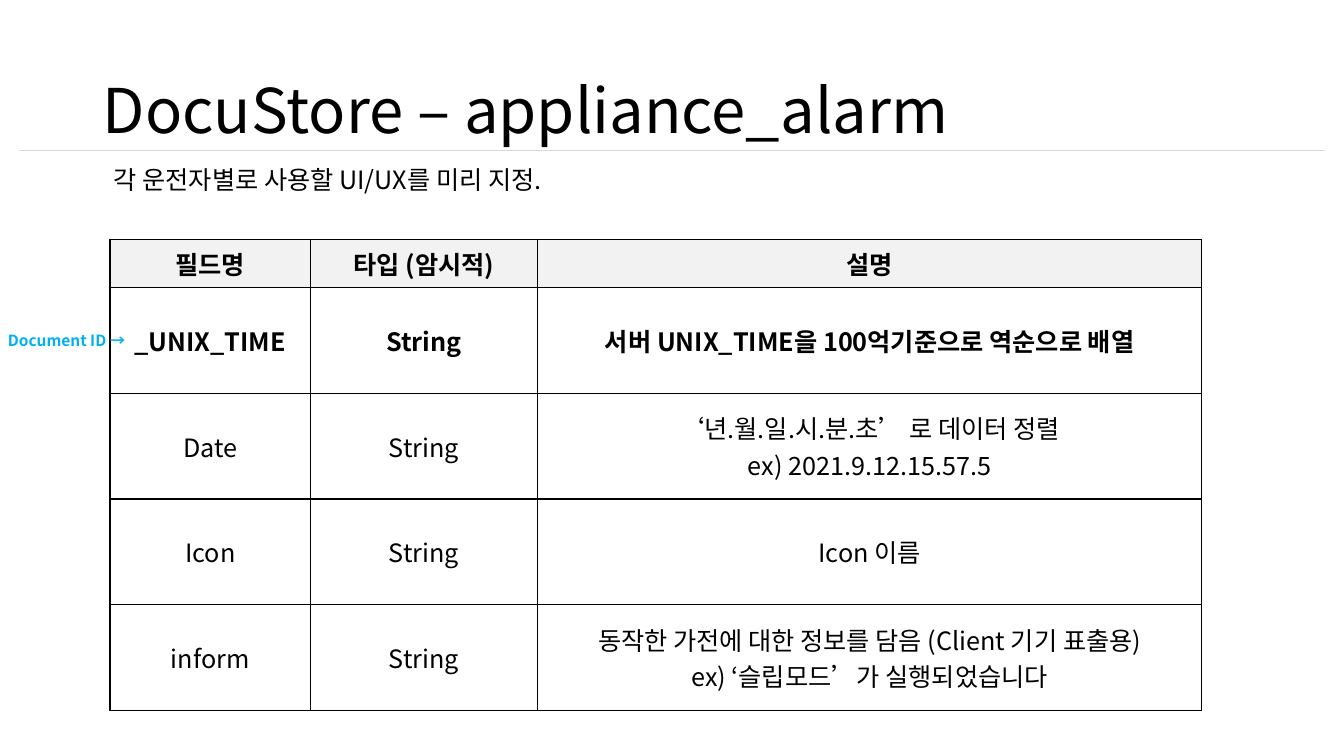
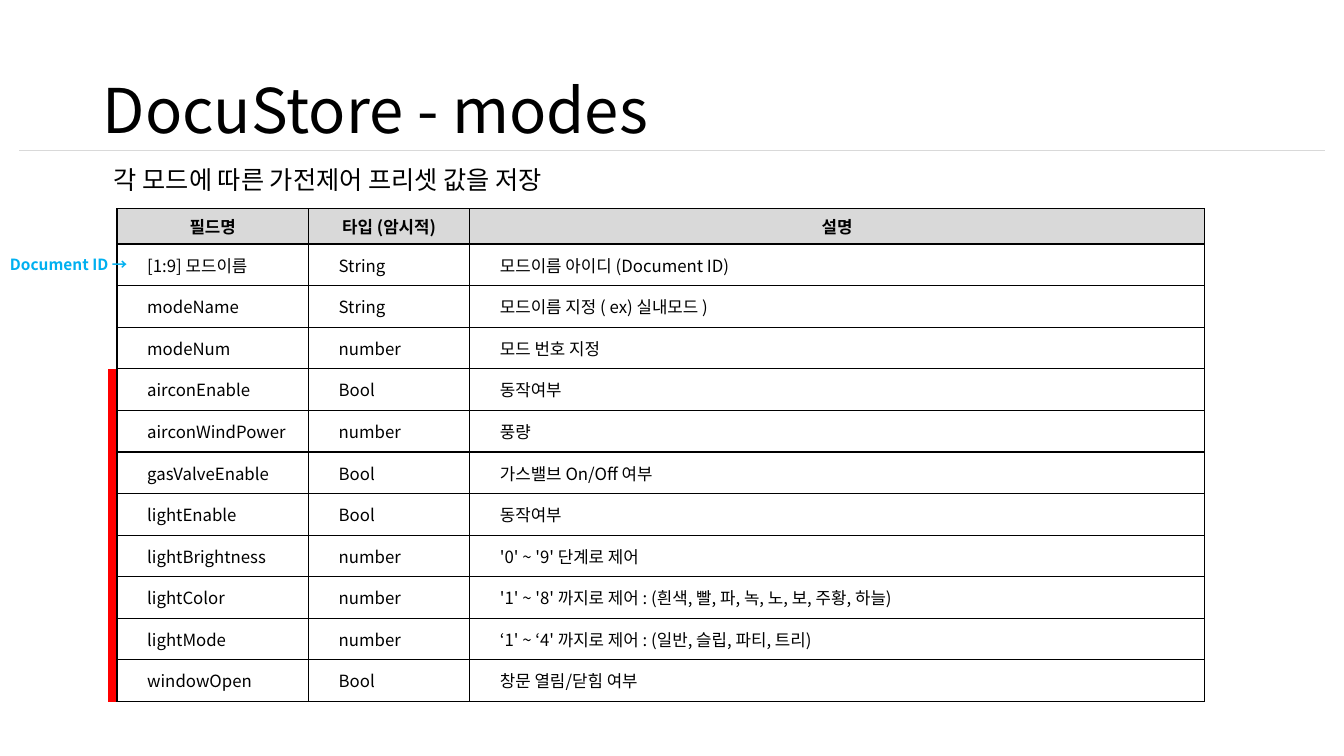
from itertools import product

from lxml.etree import SubElement
from pptx import Presentation
from pptx.dml.color import RGBColor
from pptx.enum.shapes import MSO_CONNECTOR
from pptx.enum.text import MSO_ANCHOR, MSO_AUTO_SIZE, PP_ALIGN
from pptx.oxml import parse_xml
from pptx.oxml.ns import nsdecls, qn
from pptx.util import Inches, Pt

STRAIGHT = MSO_CONNECTOR.STRAIGHT
MIDDLE, TOP = MSO_ANCHOR.MIDDLE, MSO_ANCHOR.TOP
CENTER, LEFT = PP_ALIGN.CENTER, PP_ALIGN.LEFT
GROW = MSO_AUTO_SIZE.SHAPE_TO_FIT_TEXT

WIDTH, HEIGHT = Inches(13.33), Inches(7.5)
COLUMN, ROW = WIDTH / 100, HEIGHT / 100
FONT = "Noto Sans CJK KR"
COLORS = {
    "text": "000000",
    "rule": "D9D9D9",
    "label": "00B0F0",
    "marker": "FF0000",
    "light_header": "F2F2F2",
    "dark_header": "D9D9D9",
}
STYLES = {
    "title": {"size": Pt(44), "bold": False},
    "subtitle": {"size": Pt(18), "bold": False},
    "label": {"size": Pt(11), "bold": True},
}
TITLE_BOX = (6.9, 5.33, 86.27, 19.33)
SUBTITLE_TOP, SUBTITLE_LEFT, SUBTITLE_HEIGHT = 21.07, 7.73, 5.33
LABEL_WIDTH, LABEL_HEIGHT = 10.43, 3.87
RULE = (1.43, 19.87, 98.57, 19.87)
HEADER = ("필드명", "타입 (암시적)", "설명")

PAGES = [
    {
        "title": "DocuStore – appliance_alarm",
        "subtitle": "각 운전자별로 사용할 UI/UX를 미리 지정.",
        "subtitle_width": 36.83,
        "label_left": -0.15,
        "table": {
            "box": (8.18, 31.73, 81.24, 62.27),
            "columns": (1.99, 2.25, 6.59),
            "header_share": 0.45,
            "header_color": "light_header",
            "size": Pt(18),
            "align": CENTER,
            "indent": Inches(0.1),
            "bold_rows": 2,
            "rows": [
                ("_UNIX_TIME", "String", "서버 UNIX_TIME을 100억기준으로 역순으로 배열"),
                ("Date", "String", "‘년.월.일.시.분.초’ 로 데이터 정렬\vex) 2021.9.12.15.57.5"),
                ("Icon", "String", "Icon 이름"),
                ("inform", "String",
                 "동작한 가전에 대한 정보를 담음 (Client 기기 표출용)\nex) ‘슬립모드’가 실행되었습니다"),
            ],
        },
    },
    {
        "title": "DocuStore - modes",
        "subtitle": "각 모드에 따른 가전제어 프리셋 값을 저장",
        "subtitle_width": 37.73,
        "label_left": 0,
        "marker_from_row": 4,
        "table": {
            "box": (8.7, 27.6, 80.92, 65.2),
            "columns": (1.9, 1.6, 7.29),
            "header_share": 0.85,
            "header_color": "dark_header",
            "size": Pt(12),
            "align": LEFT,
            "indent": Inches(0.3),
            "bold_rows": 1,
            "rows": [
                ("[1:9] 모드이름", "String", "모드이름 아이디 (Document ID)"),
                ("modeName", "String", "모드이름 지정 ( ex) 실내모드 )"),
                ("modeNum", "number", "모드 번호 지정"),
                ("airconEnable", "Bool", "동작여부"),
                ("airconWindPower", "number", "풍량"),
                ("gasValveEnable", "Bool", "가스밸브 On/Off 여부"),
                ("lightEnable", "Bool", "동작여부"),
                ("lightBrightness", "number", "'0' ~ '9' 단계로 제어"),
                ("lightColor", "number", "'1' ~ '8' 까지로 제어 : (흰색, 빨, 파, 녹, 노, 보, 주황, 하늘)"),
                ("lightMode", "number", "‘1' ~ ‘4' 까지로 제어 : (일반, 슬립, 파티, 트리)"),
                ("windowOpen", "Bool", "창문 열림/닫힘 여부"),
            ],
        },
    },
]


def place(left, top, right, bottom):
    return [round(length) for length in (left * COLUMN, top * ROW, right * COLUMN, bottom * ROW)]


def color(name):
    return RGBColor.from_string(COLORS[name])


def write(frame, text, style, color_name="text", align=LEFT, spacing=None):
    frame.text = text
    for para in frame.paragraphs:
        para.alignment = align
        para.line_spacing = spacing
        for span in para.runs:
            for name, value in {"name": FONT, **style}.items():
                setattr(span.font, name, value)
            span.font.color.rgb = color(color_name)
            SubElement(span.font._element, qn("a:ea"), typeface=FONT)


def add_text(page, box, text, kind, color_name="text", wrap=False, anchor=TOP, spacing=None):
    frame = page.shapes.add_textbox(*place(*box)).text_frame
    write(frame, text, STYLES[kind], color_name, spacing=spacing)
    frame.word_wrap = wrap
    frame.vertical_anchor = anchor
    if not wrap:
        frame.auto_size = GROW


def add_line(page, ends, color_name, weight):
    line = page.shapes.add_connector(STRAIGHT, *place(*ends))
    line.line.color.rgb = color(color_name)
    line.line.width = Pt(weight)
    SubElement(line._element.spPr, qn("a:effectLst"))


def add_borders(cell):
    properties = cell._tc.get_or_add_tcPr()
    for index, side in enumerate(("lnL", "lnR", "lnT", "lnB")):
        properties.insert(index, parse_xml(
            f'<a:{side} {nsdecls("a")} w="{Pt(1)}"><a:solidFill>'
            f'<a:srgbClr val="{COLORS["text"]}"/></a:solidFill></a:{side}>'))


def row_height(data):
    return data["box"][3] / (data["header_share"] + len(data["rows"]))


def row_top(data, index):
    return data["box"][1] + (data["header_share"] + index - 1) * row_height(data)


def add_field_table(page, data):
    rows = [HEADER, *data["rows"]]
    box = place(*data["box"])
    table = page.shapes.add_table(len(rows), len(HEADER), *box).table
    table.first_row = table.horz_banding = False
    for column, share in zip(table.columns, data["columns"]):
        column.width = round(box[2] * share / sum(data["columns"]))
    for index, row in enumerate(table.rows):
        share = 1 if index else data["header_share"]
        row.height = round(share * row_height(data) * ROW)
    for row, column in product(range(len(rows)), range(len(HEADER))):
        cell = table.cell(row, column)
        style = {"size": data["size"], "bold": row < data["bold_rows"]}
        write(cell.text_frame, rows[row][column], style, align=data["align"] if row else CENTER)
        cell.vertical_anchor = MIDDLE
        add_borders(cell)
        if row:
            cell.margin_left = data["indent"]
            cell.fill.background()
        else:
            cell.fill.solid()
            cell.fill.fore_color.rgb = color(data["header_color"])


def add_heading(page, data):
    add_line(page, RULE, "rule", 0.5)
    add_text(page, TITLE_BOX, data["title"], "title", wrap=True, anchor=MIDDLE, spacing=0.9)
    subtitle_box = (SUBTITLE_LEFT, SUBTITLE_TOP, data["subtitle_width"], SUBTITLE_HEIGHT)
    add_text(page, subtitle_box, data["subtitle"], "subtitle")


def add_row_marks(page, data):
    table = data["table"]
    label_top = row_top(table, 1) + (row_height(table) - LABEL_HEIGHT) / 2
    label_box = (data["label_left"], label_top, LABEL_WIDTH, LABEL_HEIGHT)
    add_text(page, label_box, "Document ID →", "label", "label")
    if "marker_from_row" in data:
        left = table["box"][0] - 0.37
        bottom = row_top(table, len(table["rows"]) + 1)
        add_line(page, (left, row_top(table, data["marker_from_row"]), left, bottom), "marker", 6)


def main():
    deck = Presentation()
    deck.slide_width, deck.slide_height = WIDTH, HEIGHT
    for data in PAGES:
        page = deck.slides.add_slide(deck.slide_layouts[6])
        add_heading(page, data)
        add_field_table(page, data["table"])
        add_row_marks(page, data)
    deck.save("out.pptx")


if __name__ == "__main__":
    main()
